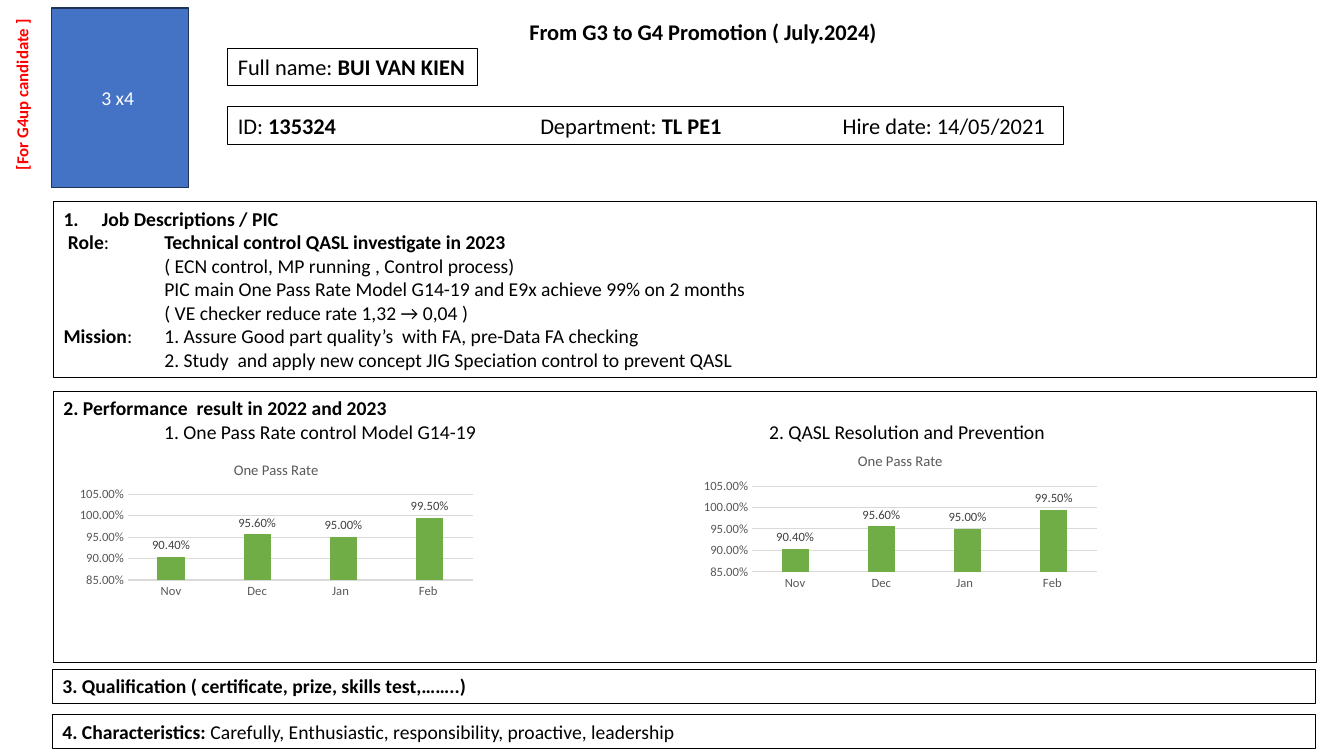
from lxml.etree import SubElement
from pptx import Presentation
from pptx.chart.data import CategoryChartData
from pptx.dml.color import RGBColor
from pptx.enum.chart import XL_CHART_TYPE as ChartType, XL_LABEL_POSITION as LabelPosition, XL_TICK_MARK as TickMark
from pptx.enum.shapes import MSO_SHAPE as ShapeKind
from pptx.enum.text import MSO_ANCHOR as Anchor, MSO_AUTO_SIZE as AutoSize, PP_ALIGN as Align
from pptx.oxml.ns import qn
from pptx.util import Inches, Pt

FONT = "Calibri"
BLACK, GRAY, GRID = "000000", "595959", "D9D9D9"
PERCENT = "0.00%"
PASS_RATES = {"Nov": 0.904, "Dec": 0.956, "Jan  ": 0.95, "Feb ": 0.995}
JOB_LINES = [
    "**Job Descriptions / PIC**",
    " **Role**:\t**Technical control QASL investigate in 2023**",
    "\t( ECN control, MP running , Control process)",
    "\tPIC main One Pass Rate Model G14-19 and E9x achieve 99% on 2 months",
    "\t( VE checker reduce rate 1,32 → 0,04 )",
    "**Mission**:\t1. Assure Good part quality’s  with FA, pre-Data FA checking",
    "\t2. Study  and apply new concept JIG Speciation control to prevent QASL",
]
PERFORMANCE_LINES = [
    "**2. Performance  result in 2022 and 2023**",
    "\t1. One Pass Rate control Model G14-19\t\t\t2. QASL Resolution and Prevention",
]


def color(value):
    return RGBColor.from_string(value)


def set_font(font, size, hex_color, bold=False):
    font.name, font.size, font.bold = FONT, Pt(size), bold
    font.color.rgb = color(hex_color)


def place(shape, left, top, width, height):
    shape.left, shape.top = Inches(left), Inches(top)
    shape.width, shape.height = Inches(width), Inches(height)


def set_outline(shape, hex_color=BLACK, width=0.75):
    shape.line.color.rgb = color(hex_color)
    shape.line.width = Pt(width)


def format_indent(paragraph, tab_size, numbered):
    properties = paragraph._p.get_or_add_pPr()
    hanging = Inches(0.38) if numbered else 0
    properties.set("marL", str(hanging))
    properties.set("indent", str(-hanging))
    properties.set("defTabSz", str(Inches(tab_size)))
    if numbered:
        SubElement(properties, qn("a:buFont"), typeface="+mj-lt")
        SubElement(properties, qn("a:buAutoNum"), type="arabicPeriod")
    else:
        SubElement(properties, qn("a:buNone"))


def write_text(shape, lines, size=14, hex_color=BLACK, align=Align.LEFT,
               anchor=Anchor.TOP, wrap=True, tab_size=1, numbered_first=False):
    frame = shape.text_frame
    frame.auto_size = AutoSize.NONE
    frame.word_wrap = wrap
    frame.vertical_anchor = anchor
    for index, line in enumerate(lines):
        paragraph = frame.add_paragraph() if index else frame.paragraphs[0]
        paragraph.alignment = align
        paragraph.space_before = Pt(0)
        format_indent(paragraph, tab_size, numbered_first and index == 0)
        for part, text in enumerate(line.split("**")):
            if text:
                run = paragraph.add_run()
                run.text = text
                set_font(run.font, size, hex_color, part % 2 == 1)


def add_box(slide, position, lines, fill=None, outline=BLACK, outline_width=0.75, **text_format):
    shape = slide.shapes.add_shape(ShapeKind.RECTANGLE, *map(Inches, position))
    shape.shadow.inherit = False
    if fill:
        shape.fill.solid()
        shape.fill.fore_color.rgb = color(fill)
    else:
        shape.fill.background()
    set_outline(shape, outline, outline_width)
    write_text(shape, lines, **text_format)


def add_side_label(slide, text):
    label = slide.shapes.add_textbox(*map(Inches, (-0.66, 0.76, 1.75, 0.3)))
    label.rotation = 270
    write_text(label, [text], size=12, hex_color="FF0000", wrap=False)


def add_rate_chart(slide, left, top):
    data = CategoryChartData(number_format=PERCENT)
    data.categories = list(PASS_RATES)
    data.add_series("One Pass Rate", list(PASS_RATES.values()))
    position = map(Inches, (left, top, 4.06, 1.52))
    chart = slide.shapes.add_chart(ChartType.COLUMN_CLUSTERED, *position, data).chart
    set_font(chart.font, 10, BLACK)
    chart.has_legend = False
    chart.has_title = True
    title = chart.chart_title.text_frame
    title.text = "One Pass Rate"
    set_font(title.paragraphs[0].runs[0].font, 10.5, GRAY)

    for axis in (chart.category_axis, chart.value_axis):
        axis.major_tick_mark = axis.minor_tick_mark = TickMark.NONE
        set_font(axis.tick_labels.font, 9, GRAY)
    set_outline(chart.category_axis.format, GRID)
    values = chart.value_axis
    values.format.line.fill.background()
    values.minimum_scale, values.maximum_scale, values.major_unit = 0.85, 1.05, 0.05
    values.tick_labels.number_format = PERCENT
    values.tick_labels.number_format_is_linked = False
    set_outline(values.major_gridlines.format, GRID)

    plot = chart.plots[0]
    plot.gap_width, plot.overlap, plot.vary_by_categories = 219, -27, False
    bars = plot.series[0].format.fill
    bars.solid()
    bars.fore_color.rgb = color("70AD47")
    plot.has_data_labels = True
    labels = plot.data_labels
    labels.show_value = True
    labels.position = LabelPosition.OUTSIDE_END
    labels.number_format = PERCENT
    labels.number_format_is_linked = False
    set_font(labels.font, 9, "404040")


def main():
    presentation = Presentation()
    presentation.slide_width, presentation.slide_height = Inches(13.33), Inches(7.5)
    slide = presentation.slides.add_slide(presentation.slide_layouts[1])

    title, job = slide.placeholders
    place(title, 5.15, 0.13, 3.7, 0.37)
    write_text(title, ["**From G3 to G4 Promotion ( July.2024)**"], size=16, wrap=False)
    place(job, 0.53, 2, 12.53, 1.75)
    set_outline(job)
    write_text(job, JOB_LINES, numbered_first=True)

    add_box(slide, (0.51, 0.08, 1.36, 1.78), ["3 x4 "], fill="4472C4", outline="1E3256",
            outline_width=1, hex_color="FFFFFF", align=Align.CENTER, anchor=Anchor.MIDDLE)
    add_box(slide, (2.26, 0.48, 2.48, 0.37), ["Full name: **BUI VAN KIEN**"], size=16, wrap=False)
    add_box(slide, (2.26, 1.06, 8.29, 0.37),
            ["ID: **135324**\tDepartment: **TL PE1**\tHire date: 14/05/2021"], size=16, tab_size=3)
    add_box(slide, (0.53, 3.88, 12.53, 2.69), PERFORMANCE_LINES)
    add_box(slide, (0.52, 6.64, 12.53, 0.34),
            ["**3. Qualification ( certificate, prize, skills test,……..)**"])
    add_box(slide, (0.52, 7.09, 12.53, 0.34),
            ["**4. Characteristics:** Carefully, Enthusiastic, responsibility, proactive, leadership"])
    add_rate_chart(slide, 0.71, 4.45)
    add_rate_chart(slide, 6.9, 4.37)
    add_side_label(slide, "**[For G4up candidate ]**")
    presentation.save("out.pptx")


if __name__ == "__main__":
    main()
